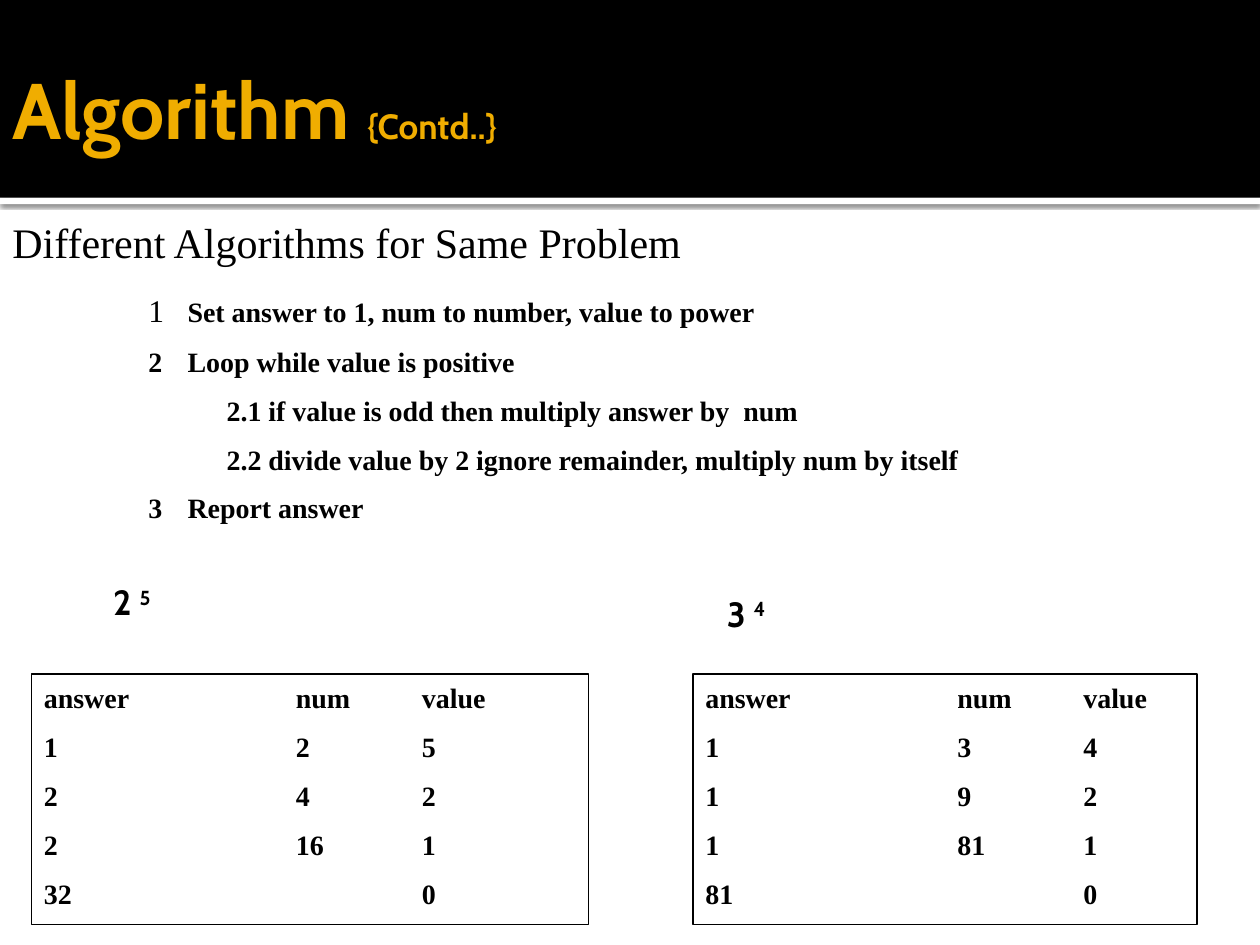
from lxml.etree import SubElement
from pptx import Presentation
from pptx.dml.color import RGBColor
from pptx.enum.shapes import MSO_SHAPE
from pptx.enum.text import MSO_ANCHOR, MSO_AUTO_SIZE, PP_ALIGN
from pptx.oxml.ns import qn
from pptx.util import Inches, Pt

BLACK = RGBColor(0x00, 0x00, 0x00)
WHITE = RGBColor(0xFF, 0xFF, 0xFF)
AMBER = RGBColor(0xF0, 0xAD, 0x00)
SERIF, SANS = "Times New Roman", "Cabin"

prs = Presentation()
prs.slide_width, prs.slide_height = Inches(10), Inches(7.5)
slide = prs.slides.add_slide(prs.slide_layouts[5])
shapes = slide.shapes


def write(frame, lines, font=SERIF, color=BLACK, gap=0, tabs=(), hanging=None,
          anchor=MSO_ANCHOR.TOP, insets=(0.1, 0.05, 0.1, 0.05), wrap=True):
    """Fill a frame with lines, each a list of (text, size, bold, baseline) runs."""
    frame.word_wrap, frame.auto_size = wrap, MSO_AUTO_SIZE.NONE
    frame.vertical_anchor = anchor
    (frame.margin_left, frame.margin_top,
     frame.margin_right, frame.margin_bottom) = map(Inches, insets)
    for number, runs in enumerate(lines):
        paragraph = frame.add_paragraph() if number else frame.paragraphs[0]
        paragraph.alignment = PP_ALIGN.LEFT
        paragraph.space_before = Pt(gap * runs[-1][1])
        properties = paragraph._p.get_or_add_pPr()
        if hanging:
            properties.set("marL", str(Inches(hanging[0])))
            properties.set("indent", str(Inches(hanging[1])))
        if tabs:
            stops = SubElement(properties, qn("a:tabLst"))
            for stop in tabs:
                SubElement(stops, qn("a:tab"), pos=str(Inches(stop)), algn="l")
        for text, size, bold, baseline in runs:
            run = paragraph.add_run()
            run.text = text
            run.font.name, run.font.size, run.font.bold = font, Pt(size), bold
            run.font.color.rgb = color
            if baseline:
                run.font._element.set("baseline", str(baseline * 1000))


# Header band, with a shadowed white strip under it
HEADER = 1.57
for top, height, color in [(HEADER, 0.05, WHITE), (0, HEADER, BLACK)]:
    band = shapes.add_shape(MSO_SHAPE.RECTANGLE, 0, Inches(top),
                            prs.slide_width, Inches(height))
    band.fill.solid()
    band.fill.fore_color.rgb = color
    band.line.fill.background()
    band.shadow.inherit = False
    if color == WHITE:
        effects = band._element.spPr.find(qn("a:effectLst"))
        shadow = SubElement(effects, qn("a:outerShdw"), blurRad=str(Pt(2.5)),
                            dist=str(Pt(0.8)), dir="5400000", rotWithShape="0")
        shade = SubElement(shadow, qn("a:srgbClr"), val=str(BLACK))
        SubElement(shade, qn("a:alpha"), val="60000")

# Title, brought in front of the header band
title = shapes.title
title.left, title.top = 0, Inches(0.17)
title.width, title.height = Inches(9.5), Inches(1.37)
write(title.text_frame, [[("Algorithm ", 45, True, 0), ("{Contd..}", 20, True, 0)]],
      font=SANS, color=AMBER, anchor=MSO_ANCHOR.MIDDLE, insets=(0.1, 0.05, 0.05, 0.05))
shapes._spTree.append(title._element)

# Subtitle
subtitle = shapes.add_textbox(0, Inches(1.67), Inches(5.56), Inches(0.5))
write(subtitle.text_frame, [[("Different Algorithms for Same Problem", 24, False, 0)]],
      wrap=False)

# Steps of the algorithm
GAP = 0.55
steps = [[("1 \t", 18, False, 0),
          ("Set answer to 1, num to number, value to power", 16, True, 0)]]
steps += [[(text, 16, True, 0)] for text in (
    "2 \tLoop while value is positive",
    "\t\t2.1 if value is odd then multiply answer by  num",
    "\t\t2.2 divide value by 2 ignore remainder, multiply num by itself",
    "3\tReport answer",
)]
procedure = shapes.add_textbox(Inches(1.08), Inches(2.26), Inches(8.25), Inches(2.02))
write(procedure.text_frame, steps, gap=GAP, tabs=(0.31, 0.62))

# Worked examples: power, label position and inset, trace box, trace rows
examples = [
    ("2 ", "5", (0.67, 4.51), 0.1, (0.25, 4.42),
     [(1, 2, 5), (2, 4, 2), (2, 16, 1), (32, "", 0)]),
    ("3 ", "4", (5.58, 4.6), 0.06, (5.5, 4),
     [(1, 3, 4), (1, 9, 2), (1, 81, 1), (81, "", 0)]),
]
for base, exponent, (left, top), inset, (box_left, box_width), rows in examples:
    power = shapes.add_textbox(Inches(left), Inches(top), Inches(0.83), Inches(0.58))
    write(power.text_frame, [[(base, 20, True, 0), (exponent, 20, True, 30)]],
          font=SANS, hanging=(0.48, -0.35), insets=(inset, 0.1, 0.1, 0.05))

    trace = shapes.add_shape(MSO_SHAPE.RECTANGLE, Inches(box_left), Inches(5.35),
                             Inches(box_width), Inches(1.99))
    trace.fill.background()
    trace.line.color.rgb, trace.line.width = BLACK, Pt(0.75)
    trace.shadow.inherit = False
    lines = [[("\t".join(map(str, row)), 16, True, 0)]
             for row in [("answer", "num", "value"), *rows]]
    write(trace.text_frame, lines, gap=GAP, tabs=(2, 3))

prs.save("out.pptx")
